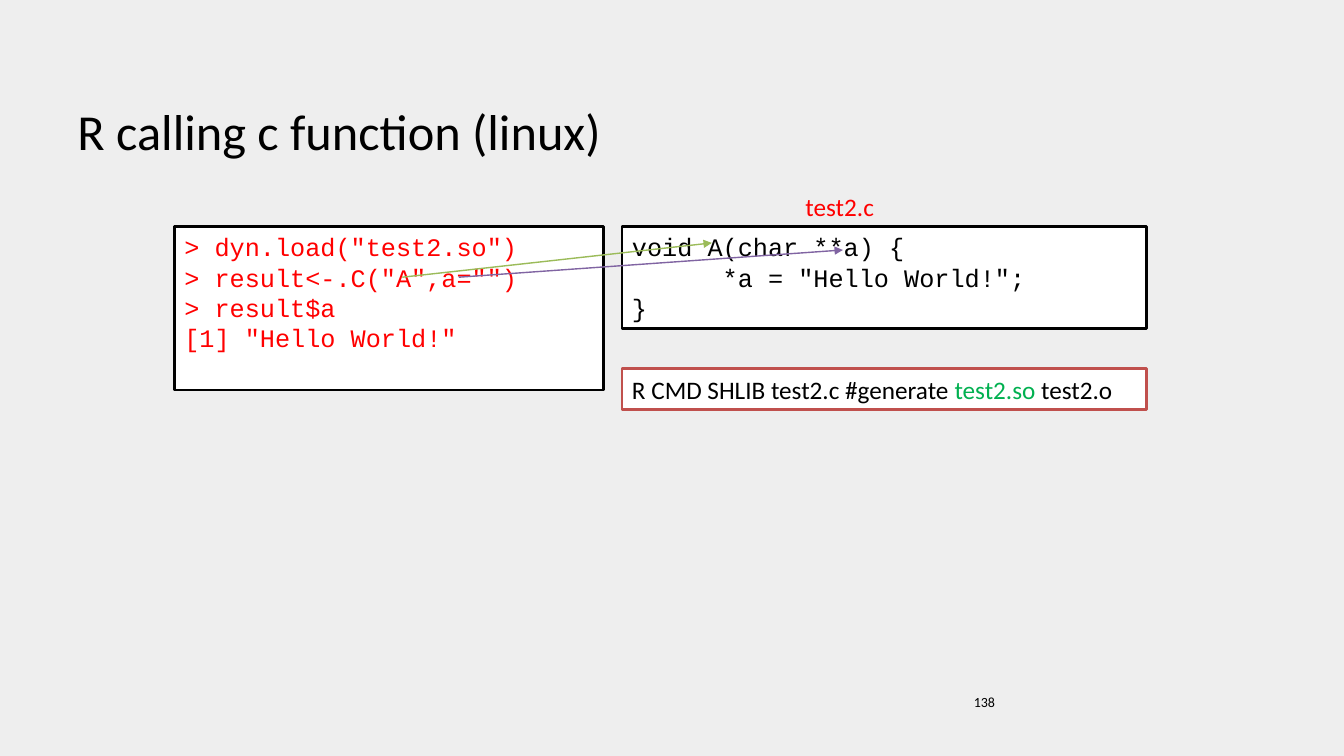
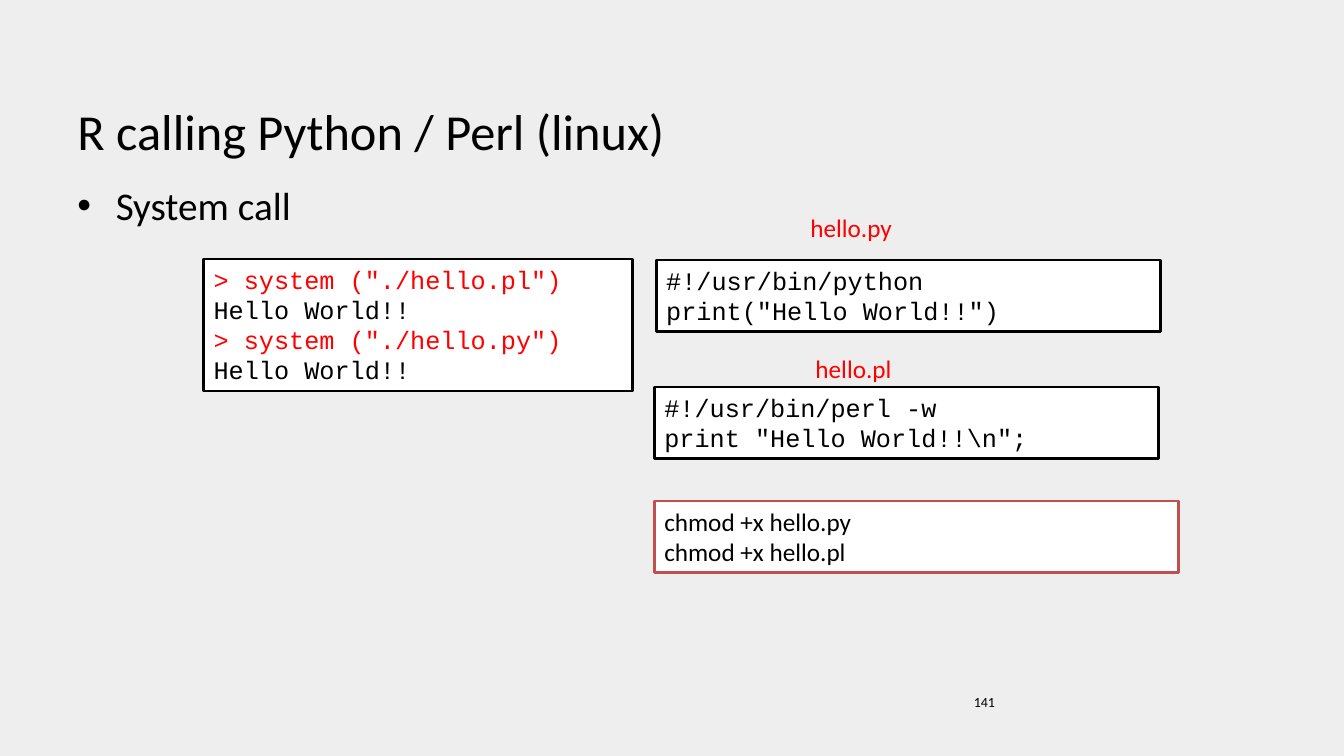
from dataclasses import dataclass

from pptx import Presentation
from pptx import util as u
from pptx.dml import color as colors
from pptx.enum import shapes, text
from pptx.oxml import ns, xmlchemy


@dataclass(frozen=True)
class Theme:
    """Colours, fonts and type sizes of the deck."""

    paper: str = "EEEEEE"
    white: str = "FFFFFF"
    ink: str = "000000"
    red: str = "FF0000"
    green: str = "00B050"
    command: str = "C0504D"
    olive: str = "9BBB59"
    purple: str = "8064A2"
    sans: str = "Calibri"
    mono: str = "Courier New"
    title: int = 36
    body: int = 28
    code: int = 18
    footer: int = 10


def rgb(value):
    """Turn a hex string into a colour."""
    return colors.RGBColor.from_string(value)


def indent(para, left, first=0):
    """Set the left margin and first-line indent of a paragraph."""
    properties = para._p.get_or_add_pPr()
    for name, length in {"marL": left, "indent": first}.items():
        properties.set(name, str(u.Inches(length)))
    return properties


def add_element(parent, tag, **values):
    """Append a drawing element with the given attributes."""
    element = xmlchemy.OxmlElement(tag)
    for name, value in values.items():
        element.set(name, value)
    parent.append(element)


class CodeDeck:
    """Build code slides in one shared style."""

    def __init__(self, theme):
        """Start a deck with the shared size and background."""
        self.theme = theme
        self.deck = Presentation()
        self.deck.slide_width, self.deck.slide_height = u.Inches(13.33), u.Inches(7.5)
        fill = self.deck.slide_master.background.fill
        fill.solid()
        fill.fore_color.rgb = rgb(theme.paper)
        self.page = None

    def new_page(self, title, number):
        """Add a slide with its title and number."""
        self.page = self.deck.slides.add_slide(self.deck.slide_layouts[6])
        self.text((0.67, 0.39, 12, 1.25), [title], self.theme.title,
                  vertical_anchor=text.MSO_ANCHOR.BOTTOM)
        self.text((9.56, 6.83, 3.11, 0.52), [number], self.theme.footer)

    def fill_text(self, box, lines, size, font=None, color=None, **frame_format):
        """Fill a box with lines, each a string or a list of coloured spans."""
        frame = box.text_frame
        frame_values = {"word_wrap": True, "vertical_anchor": text.MSO_ANCHOR.TOP}
        for name, value in (frame_values | frame_format).items():
            setattr(frame, name, value)
        font_values = {"size": u.Pt(size), "name": font or self.theme.sans}
        base = color or self.theme.ink
        for index, line in enumerate(lines):
            para = frame.add_paragraph() if index else frame.paragraphs[0]
            para.alignment = text.PP_ALIGN.LEFT
            for words, tint in [(line, base)] if isinstance(line, str) else line:
                span = para.add_run()
                span.text = words
                span.font.color.rgb = rgb(tint)
                for name, value in font_values.items():
                    setattr(span.font, name, value)
        return frame.paragraphs

    def text(self, place, lines, size, **style):
        """Add plain text and return its paragraphs."""
        box = self.page.shapes.add_textbox(*map(u.Inches, place))
        return self.fill_text(box, lines, size, **style)

    def bullet(self, words):
        """Add the bulleted body line."""
        para = self.text((0.67, 1.75, 12, 4.95), [words], self.theme.body)[0]
        properties = indent(para, 0.38, -0.38)
        add_element(properties, "a:buFont", typeface="Arial")
        add_element(properties, "a:buChar", char="•")

    def label(self, left, top, width, words):
        """Add a red file name."""
        self.text((left, top, width, 0.4), [words], self.theme.code,
                  color=self.theme.red, word_wrap=False)

    def panel(self, place, lines, border, **style):
        """Add a white bordered box and return its paragraphs."""
        box = self.page.shapes.add_shape(shapes.MSO_SHAPE.RECTANGLE, *map(u.Inches, place))
        box.shadow.inherit = False
        box.fill.solid()
        box.fill.fore_color.rgb = rgb(self.theme.white)
        box.line.color.rgb = rgb(border)
        box.line.width = u.Pt(2)
        return self.fill_text(box, lines, self.theme.code, **style)

    def code(self, place, lines, color=None):
        """Add a listing in the code font."""
        return self.panel(place, lines, self.theme.ink, font=self.theme.mono, color=color)

    def command(self, place, lines):
        """Add a shell command box."""
        self.panel(place, lines, self.theme.command)

    def arrow(self, start, end, color):
        """Draw a thin arrow between two points."""
        line = self.page.shapes.add_connector(
            shapes.MSO_CONNECTOR.STRAIGHT, *map(u.Inches, start + end))
        line.line.color.rgb = rgb(color)
        line.line.width = u.Pt(1)
        properties = line._element.spPr
        add_element(properties.find(ns.qn("a:ln")), "a:tailEnd", type="triangle")
        add_element(properties, "a:effectLst")


def c_function(deck):
    """Build the slide on calling C."""
    theme = deck.theme
    deck.new_page("R calling c function (linux)", "138")
    source = deck.code((6.17, 2.25, 5.2, 1.01),
                       ["void A(char **a) {", '*a = "Hello World!";', "}"])
    indent(source[1], 0.9)
    deck.label(7.89, 1.85, 0.95, "test2.c")
    deck.command((6.17, 3.66, 5.2, 0.4), [[
        ("R CMD SHLIB test2.c #generate ", theme.ink),
        ("test2.so", theme.green),
        (" test2.o", theme.ink)]])
    deck.code((1.73, 2.25, 4.26, 1.62),
              ['> dyn.load("test2.so")', '> result<-.C("A",a="")',
               "> result$a", '[1] "Hello World!"'], theme.red)
    deck.arrow((3.99, 2.75), (7.06, 2.41), theme.olive)
    deck.arrow((4.55, 2.75), (8.36, 2.48), theme.purple)


def scripts(deck):
    """Build the slide on calling Python and Perl."""
    theme = deck.theme
    deck.new_page("R calling Python / Perl (linux)", "141")
    deck.bullet("System call")
    session = []
    for name in ("hello.pl", "hello.py"):
        session += [[(f'> system ("./{name}")', theme.red)], "Hello World!!"]
    deck.code((2.02, 2.57, 4.25, 1.31), session)
    deck.label(7.94, 2.06, 1.07, "hello.py")
    deck.code((6.51, 2.58, 5, 0.71), ["#!/usr/bin/python", 'print("Hello World!!")'])
    deck.label(7.99, 3.46, 1, "hello.pl")
    deck.code((6.49, 3.84, 5, 0.71), ["#!/usr/bin/perl -w", r'print "Hello World!!\n";'])
    deck.command((6.49, 4.97, 5.2, 0.71), ["chmod +x hello.py", "chmod +x hello.pl"])


def main():
    """Build and save the deck."""
    deck = CodeDeck(Theme())
    c_function(deck)
    scripts(deck)
    deck.deck.save("out.pptx")


if __name__ == "__main__":
    main()
